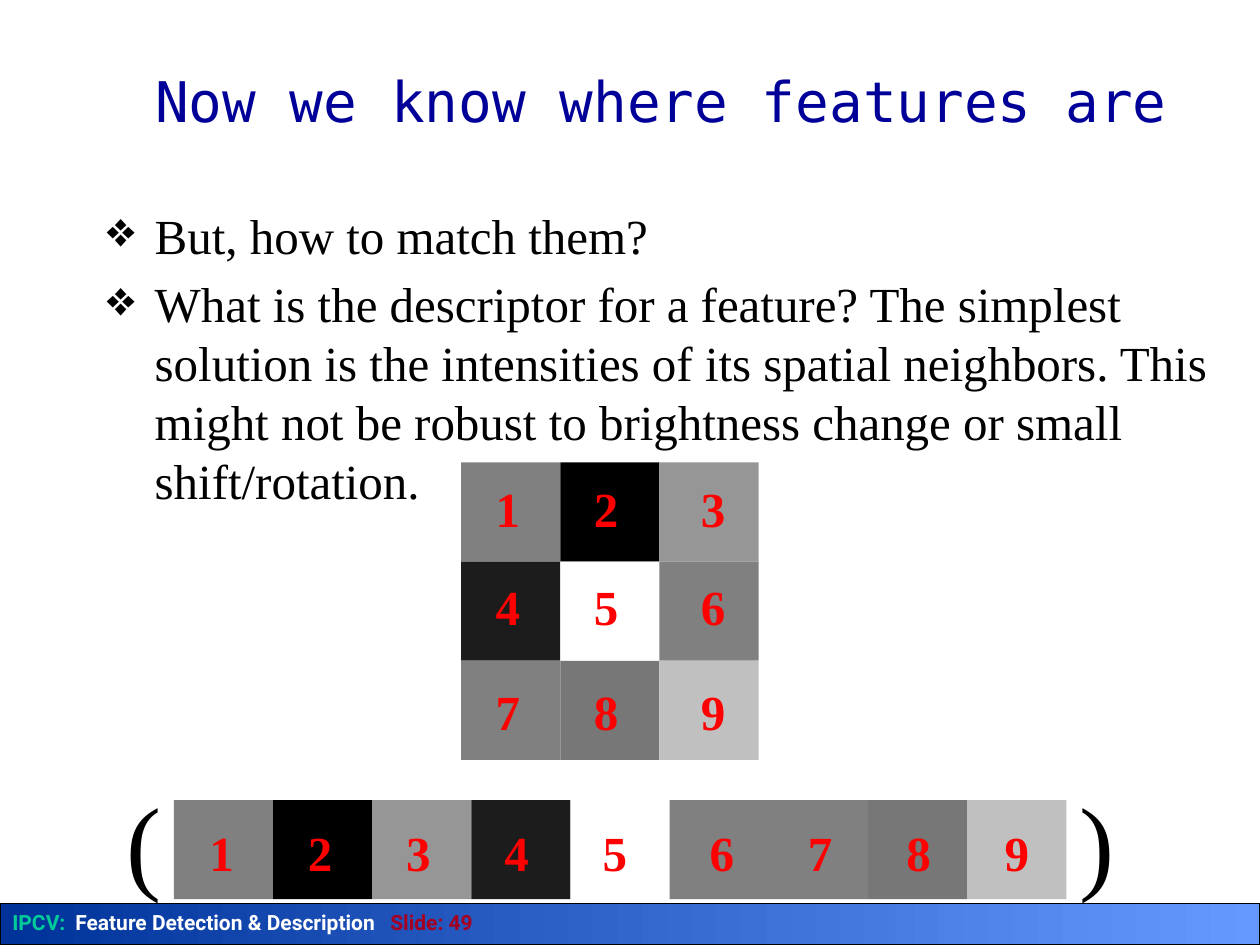
import lxml.etree
import pptx
import pptx.dml.color
import pptx.enum.shapes
import pptx.enum.text
import pptx.oxml.ns
import pptx.util

SERIF = "Times New Roman"
CELL = 7.87
GRAYS = ["808080", "000000", "969696", "1C1C1C", "FFFFFF", "808080", "808080", "777777", "C0C0C0"]
DIGIT_COLS = [38.3, 46.1, 54.6]
DIGIT_ROWS = [37.5, 45.3, 53.6]
BODY = [
    "But, how to match them?",
    "What is the descriptor for a feature? The simplest solution is the intensities of its "
    "spatial neighbors. This might not be robust to brightness change or small shift/rotation.",
]
FOOTER = [("IPCV:\t", "00CC99"), ("Feature Detection & Description\t", "FFFFFF"), ("Slide: 49", "A50021")]


def rgb(value):
    """Turn a hex string into a colour."""
    return pptx.dml.color.RGBColor.from_string(value)


class Deck:
    """Slide builder on a grid of 100 columns and 75 rows."""

    def __init__(self):
        """Open a deck with one blank slide."""
        self.prs = pptx.Presentation()
        self.prs.slide_width = pptx.util.Inches(10)
        self.prs.slide_height = pptx.util.Inches(7.5)
        self.unit = self.prs.slide_width / 100
        self.s = self.prs.slides.add_slide(self.prs.slide_layouts[6])

    def box(self, *grid):
        """Convert grid lengths to slide lengths."""
        return [round(n * self.unit) for n in grid]

    def style(self, p, size, color, font=SERIF, bold=False):
        """Format every run of a paragraph."""
        for r in p.runs:
            r.font.size, r.font.name, r.font.bold = pptx.util.Pt(size), font, bold
            r.font.color.rgb = rgb(color)

    def group(self):
        """Add an empty group and return its shapes."""
        return self.s.shapes.add_group_shape().shapes

    def rect(self, shapes, x, y, w, h, fill=None):
        """Add a rectangle without outline."""
        sp = shapes.add_shape(pptx.enum.shapes.MSO_SHAPE.RECTANGLE, *self.box(x, y, w, h))
        sp.shadow.inherit = False
        sp.line.fill.background()
        if fill:
            sp.fill.solid()
            sp.fill.fore_color.rgb = rgb(fill)
        return sp

    def label(self, shapes, text, x, y, w, h, size, color, bold=False):
        """Add a centred label that fits its text."""
        tf = shapes.add_textbox(*self.box(x, y, w, h)).text_frame
        tf.word_wrap = False
        tf.auto_size = pptx.enum.text.MSO_AUTO_SIZE.SHAPE_TO_FIT_TEXT
        tf.text = text
        tf.paragraphs[0].alignment = pptx.enum.text.PP_ALIGN.CENTER
        self.style(tf.paragraphs[0], size, color, bold=bold)

    def digit(self, shapes, number, x, y):
        """Add the red number of a cell."""
        self.label(shapes, str(number), x, y, 4, 5.7, 28, "FF0000", True)

    def title(self, text):
        """Add the slide title."""
        tf = self.s.shapes.add_textbox(*self.box(7.5, 1.7, 90, 12.5)).text_frame
        tf.word_wrap = True
        tf.vertical_anchor = pptx.enum.text.MSO_ANCHOR.MIDDLE
        tf.text = text
        tf.paragraphs[0].alignment = pptx.enum.text.PP_ALIGN.CENTER
        self.style(tf.paragraphs[0], 32, "000099", "DejaVu Sans Mono")

    def bullets(self, items):
        """Add the bulleted body text."""
        tf = self.s.shapes.add_textbox(*self.box(7.5, 15.8, 90, 23.5)).text_frame
        tf.word_wrap = True
        tf.text = "\n".join(items)
        indent = pptx.util.Inches(0.38)
        for i, p in enumerate(tf.paragraphs):
            pPr = p._p.get_or_add_pPr()
            pPr.set("marL", str(indent))
            pPr.set("indent", str(-indent))
            if i:
                p.space_before = pptx.util.Pt(5.6)
            bullet = lxml.etree.SubElement(pPr, pptx.oxml.ns.qn("a:buChar"))
            bullet.set("char", "❖")
            self.style(p, 28, "000000")

    def footer(self, parts):
        """Add the gradient footer bar."""
        sp = self.rect(self.s.shapes, 0, 71.7, 100, 3.3)
        sp.fill.gradient()
        sp.fill.gradient_angle = 0
        for stop, color in zip(sp.fill.gradient_stops, ["003399", "6699FF"]):
            stop.color.rgb = rgb(color)
        sp.line.color.rgb = rgb("000000")
        sp.line.width = pptx.util.Pt(0.75)
        tf = sp.text_frame
        tf.vertical_anchor = pptx.enum.text.MSO_ANCHOR.TOP
        p = tf.paragraphs[0]
        p.alignment = pptx.enum.text.PP_ALIGN.LEFT
        tabs = lxml.etree.SubElement(p._p.get_or_add_pPr(), pptx.oxml.ns.qn("a:tabLst"))
        for stop in (0.5, 3):
            tab = lxml.etree.SubElement(tabs, pptx.oxml.ns.qn("a:tab"))
            tab.set("pos", str(pptx.util.Inches(stop)))
            tab.set("algn", "l")
        for text, _ in parts:
            p.add_run().text = text
        self.style(p, 12, "FFFFFF", "Roboto", True)
        for r, (_, color) in zip(p.runs, parts):
            r.font.color.rgb = rgb(color)

    def patch(self):
        """Add the three by three neighbourhood and the brackets of its vector."""
        cells = self.group()
        for i, gray in enumerate(GRAYS):
            row, col = divmod(i, 3)
            self.rect(cells, 36.6 + col * CELL, 36.7 + row * CELL, CELL, CELL, gray)
        for text, x in (("(", 9), (")", 84.7)):
            self.label(self.s.shapes, text, x, 61.1, 4.8, 11, 60, "000000")
        for i in range(len(GRAYS)):
            row, col = divmod(i, 3)
            self.digit(self.s.shapes, i + 1, DIGIT_COLS[col], DIGIT_ROWS[row])

    def vector(self):
        """Add the neighbourhood unrolled into one row."""
        for i, gray in enumerate(GRAYS):
            pair = self.group()
            self.rect(pair, 13.8 + i * CELL, 63.5, CELL, CELL, gray)
            self.digit(pair, i + 1, 15.6 + i * 7.8 + (0.7 if i > 4 else 0), 64.8)


def main():
    """Build and save the slide."""
    deck = Deck()
    deck.footer(FOOTER)
    deck.title("Now we know where features are")
    deck.bullets(BODY)
    deck.patch()
    deck.vector()
    deck.prs.save("out.pptx")


if __name__ == "__main__":
    main()
